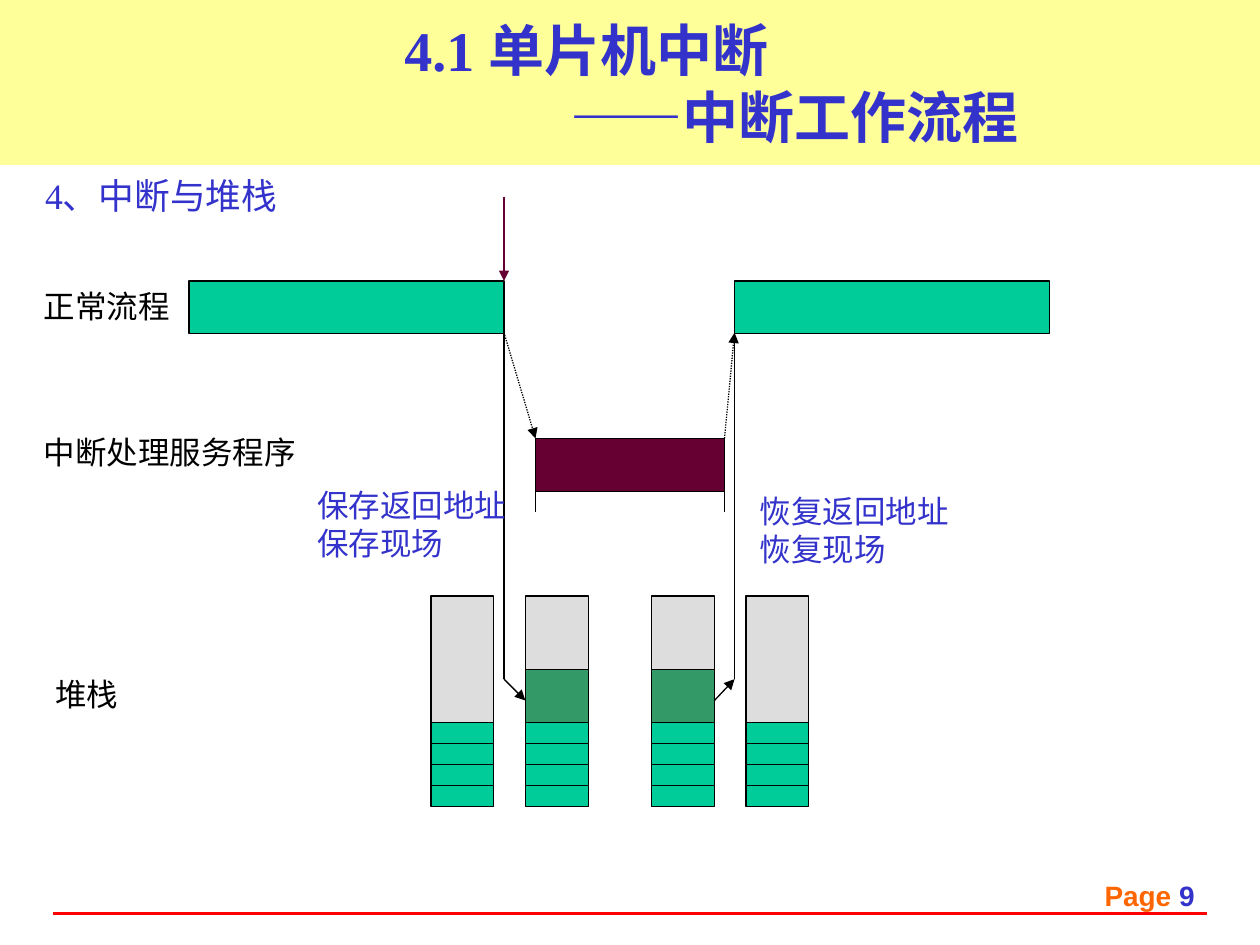
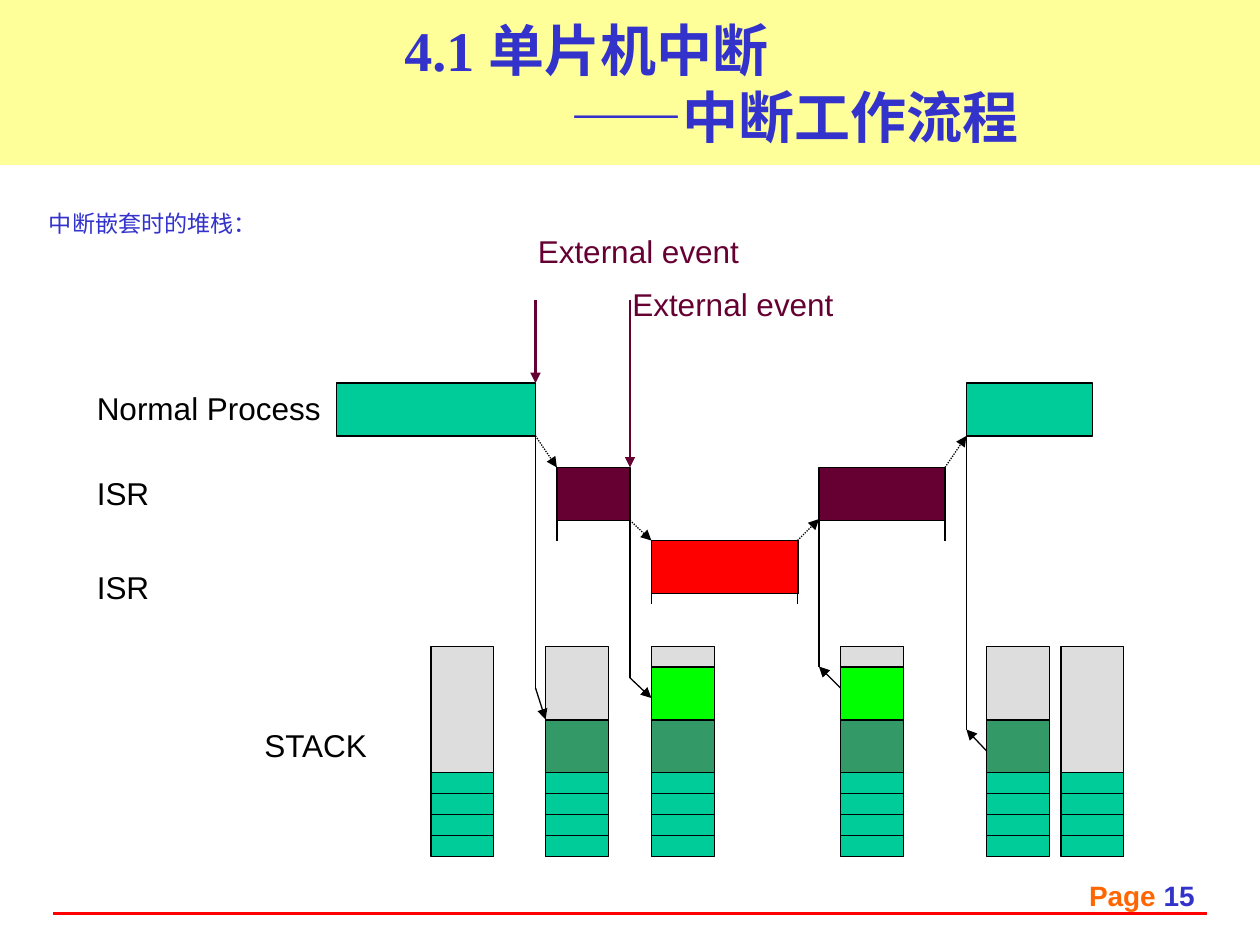
import pptx
import pptx.util
import pptx.dml.color
import pptx.enum.dml
import pptx.enum.shapes
import pptx.enum.text
import pptx.oxml.ns
from lxml import etree

Inches, Pt = pptx.util.Inches, pptx.util.Pt
PP_ALIGN = pptx.enum.text.PP_ALIGN
AUTO_SIZE = pptx.enum.text.MSO_AUTO_SIZE

COLORS = {
    "blue": "3333CC", "band": "FFFF99", "orange": "FF6600", "red": "FF0000",
    "black": "000000", "maroon": "660033", "normal": "00CC99",
    "frame": "339966", "nested": "00FF00", "free": "DDDDDD",
}
SERIF, SANS = "Times New Roman", "Arial"

# Title lines with their left indents in inches
TITLE_LINES = [("4.1 单片机中断", 3.11), ("——中断工作流程", 4.43)]

# Line styles: colour, width in points, dotted, arrowhead
LINE_STYLES = {
    "plain": ("black", 0.75, False, False),
    "arrow": ("black", 0.75, False, True),
    "jump": ("black", 0.75, True, True),
    "event": ("maroon", 1.5, False, True),
    "rule": ("red", 2.25, False, False),
}

BAR_H = 0.42
STACK_W, STACK_H = 0.5, 1.67
BASE_CELLS, CELL_H = 4, 1 / 6

# heading: text, left, top, size; labels: text, left, top, width, colour
# bars: left, top, width, colour; stacks: left, frames from the bottom up
# lines: style, then x and y of both ends
SLIDES = [
    {
        "page": 9,
        "heading": ("4、中断与堆栈", 0.26, 1.33, 20.4),
        "labels": [
            ("正常流程", 0.25, 2.23, 1.3, "black"),
            ("中断处理服务程序", 0.25, 3.39, 2.3, "black"),
            ("堆栈", 0.34, 5.31, 0.8, "black"),
            ("保存返回地址\v保存现场", 2.42, 3.81, 1.82, "blue"),
            ("恢复返回地址\v恢复现场", 5.93, 3.86, 1.82, "blue"),
        ],
        "bars": [
            (1.5, 2.23, 2.5, "normal"),
            (5.83, 2.23, 2.5, "normal"),
            (4.25, 3.48, 1.5, "maroon"),
        ],
        "stack_top": 4.73,
        "stacks": [(3.42, []), (4.17, ["frame"]), (5.17, ["frame"]), (5.92, [])],
        "lines": [
            ("event", 4, 1.56, 4, 2.23),
            ("plain", 4, 2.64, 4, 5.39),
            ("plain", 5.83, 2.64, 5.83, 5.39),
            ("plain", 4.25, 3.48, 4.25, 4.06),
            ("plain", 5.75, 3.48, 5.75, 4.06),
            ("jump", 4, 2.64, 4.25, 3.48),
            ("jump", 5.75, 3.48, 5.83, 2.64),
            ("arrow", 4, 5.39, 4.17, 5.56),
            ("arrow", 5.67, 5.56, 5.83, 5.39),
        ],
    },
    {
        "page": 15,
        "heading": ("中断嵌套时的堆栈：", 0.29, 1.61, 13.2),
        "labels": [
            ("Normal Process", 0.67, 3.04, 2.1, "black"),
            ("ISR", 0.67, 3.71, 0.8, "black"),
            ("ISR", 0.67, 4.46, 0.8, "black"),
            ("STACK", 2, 5.71, 1.2, "black"),
            ("External event", 4.17, 1.79, 1.9, "maroon"),
            ("External event", 4.92, 2.21, 1.9, "maroon"),
        ],
        "bars": [
            (2.67, 3.04, 1.58, "normal"),
            (7.67, 3.04, 1, "normal"),
            (4.42, 3.71, 0.58, "maroon"),
            (6.5, 3.71, 1, "maroon"),
            (5.17, 4.29, 1.17, "red"),
        ],
        "stack_top": 5.13,
        "stacks": [
            (3.42, []), (4.33, ["frame"]), (5.17, ["frame", "nested"]),
            (6.67, ["frame", "nested"]), (7.83, ["frame"]), (8.42, []),
        ],
        "lines": [
            ("event", 4.25, 2.38, 4.25, 3.04),
            ("event", 5, 2.38, 5, 3.71),
            ("plain", 4.25, 3.46, 4.25, 5.46),
            ("plain", 5, 3.88, 5, 5.38),
            ("plain", 6.5, 3.79, 6.5, 5.29),
            ("plain", 7.67, 3.29, 7.67, 5.79),
            ("plain", 4.42, 3.71, 4.42, 4.29),
            ("plain", 7.5, 3.71, 7.5, 4.29),
            ("plain", 5.17, 4.46, 5.17, 4.79),
            ("plain", 6.33, 4.29, 6.33, 4.79),
            ("jump", 4.25, 3.46, 4.42, 3.71),
            ("jump", 5, 4.13, 5.17, 4.29),
            ("jump", 6.33, 4.29, 6.5, 4.12),
            ("jump", 7.5, 3.71, 7.67, 3.46),
            ("arrow", 4.25, 5.46, 4.33, 5.71),
            ("arrow", 5, 5.38, 5.17, 5.54),
            ("arrow", 6.67, 5.46, 6.5, 5.29),
            ("arrow", 7.83, 5.96, 7.67, 5.79),
        ],
    },
]


def rgb(name):
    return pptx.dml.color.RGBColor.from_string(COLORS[name])


def style_font(font, name, size, color, bold=False):
    font.name, font.size, font.bold = name, Pt(size), bold
    font.color.rgb = rgb(color)


def add_text(slide, text, left, top, width, height, font, size, color):
    """Add a one-paragraph text box and return its paragraph."""
    sp = slide.shapes.add_textbox(Inches(left), Inches(top), Inches(width), Inches(height))
    tf = sp.text_frame
    tf.word_wrap = True
    tf.auto_size = AUTO_SIZE.NONE
    p = tf.paragraphs[0]
    p.text = text
    style_font(p.font, font, size, color)
    return p


def add_box(slide, left, top, width, height, color):
    sp = slide.shapes.add_shape(pptx.enum.shapes.MSO_SHAPE.RECTANGLE, Inches(left),
                                Inches(top), Inches(width), Inches(height))
    sp.shadow.inherit = False
    sp.fill.solid()
    sp.fill.fore_color.rgb = rgb(color)
    sp.line.color.rgb = rgb("black")
    sp.line.width = Pt(0.75)


def add_line(slide, style, x1, y1, x2, y2):
    color, width, dotted, arrow = LINE_STYLES[style]
    cxn = slide.shapes.add_connector(pptx.enum.shapes.MSO_CONNECTOR.STRAIGHT,
                                     Inches(x1), Inches(y1), Inches(x2), Inches(y2))
    cxn.line.color.rgb = rgb(color)
    cxn.line.width = Pt(width)
    if dotted:
        cxn.line.dash_style = pptx.enum.dml.MSO_LINE.ROUND_DOT
    qn = pptx.oxml.ns.qn
    sp_pr = cxn._element.spPr
    if arrow:
        etree.SubElement(sp_pr.find(qn("a:ln")), qn("a:tailEnd"), type="triangle")
    etree.SubElement(sp_pr, qn("a:effectLst"))


def add_stack(slide, left, top, frames):
    """Draw base cells, then saved frames, then free space up to the top."""
    y = top + STACK_H
    cells = [("normal", CELL_H)] * BASE_CELLS + [(frame, BAR_H) for frame in frames]
    for color, height in cells:
        y -= height
        add_box(slide, left, y, STACK_W, height, color)
    add_box(slide, left, top, STACK_W, y - top, "free")


def add_title(slide):
    sp = slide.shapes.title
    sp.left, sp.top, sp.width, sp.height = 0, 0, Inches(10), Inches(1.31)
    sp.fill.solid()
    sp.fill.fore_color.rgb = rgb("band")
    tf = sp.text_frame
    tf.auto_size = AUTO_SIZE.NONE
    tf.vertical_anchor = pptx.enum.text.MSO_ANCHOR.MIDDLE
    tf.text = "\n".join(text for text, _ in TITLE_LINES)
    for p, (_, indent) in zip(tf.paragraphs, TITLE_LINES):
        p.alignment = PP_ALIGN.LEFT
        p._p.get_or_add_pPr().set("marL", str(Inches(indent)))
        style_font(p.font, SERIF, 32, "blue", bold=True)


def add_footer(slide, page):
    add_line(slide, "rule", 0.42, 7.25, 9.58, 7.25)
    p = add_text(slide, "Page ", 6.92, 6.92, 2.66, 0.42, SANS, 16, "orange")
    p.alignment = PP_ALIGN.RIGHT
    p.font.bold = True
    r = p.add_run()
    r.text = str(page)
    r.font.color.rgb = rgb("blue")


def build_slide(prs, data):
    slide = prs.slides.add_slide(prs.slide_layouts[5])
    add_title(slide)
    add_footer(slide, data["page"])
    text, left, top, size = data["heading"]
    add_text(slide, text, left, top, 9.6, 0.45, SERIF, size, "blue")
    for left, top, width, color in data["bars"]:
        add_box(slide, left, top, width, BAR_H, color)
    for left, frames in data["stacks"]:
        add_stack(slide, left, data["stack_top"], frames)
    for line in data["lines"]:
        add_line(slide, *line)
    for text, left, top, width, color in data["labels"]:
        height = 0.7 if "\v" in text else 0.4
        add_text(slide, text, left, top, width, height, SANS, 18, color)


def main():
    prs = pptx.Presentation()
    prs.slide_width, prs.slide_height = Inches(10), Inches(7.5)
    for data in SLIDES:
        build_slide(prs, data)
    prs.save("out.pptx")


if __name__ == "__main__":
    main()
